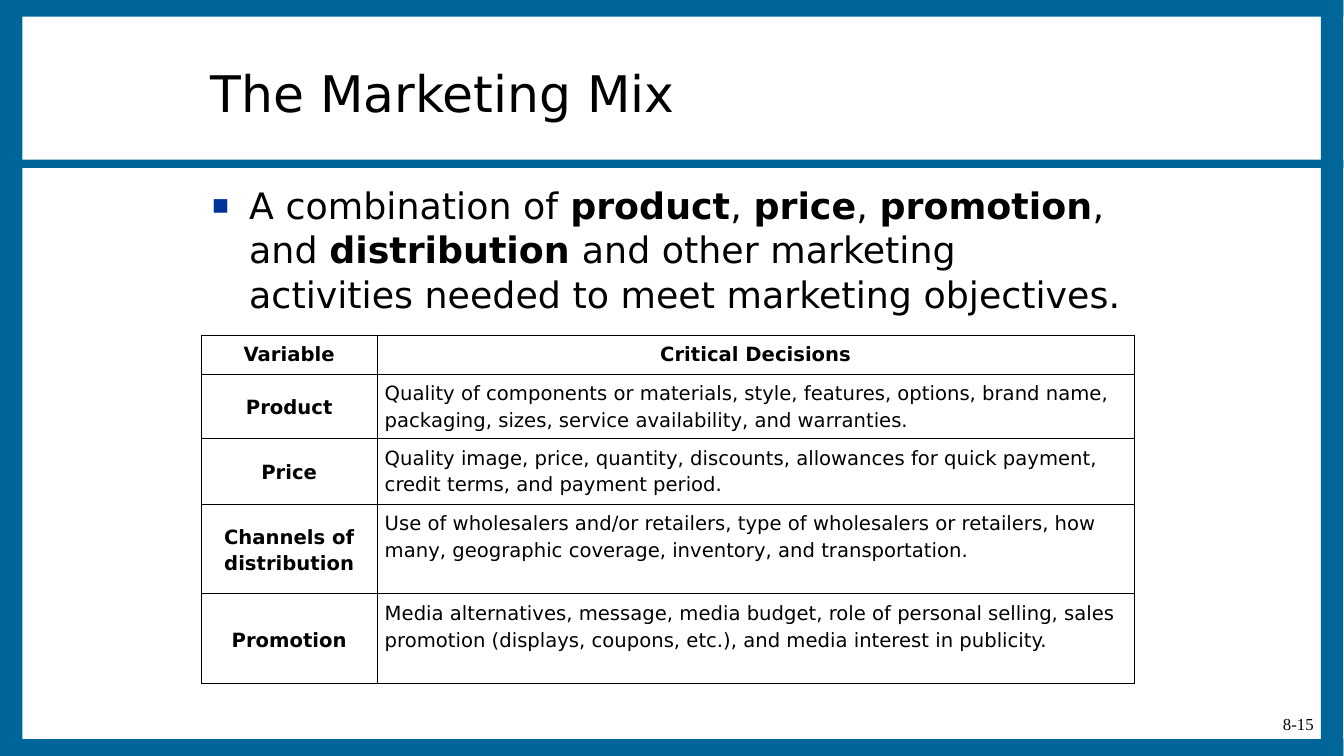
from lxml import etree
from pptx import Presentation
from pptx.dml.color import RGBColor
from pptx.enum.shapes import MSO_SHAPE
from pptx.enum.text import MSO_ANCHOR, MSO_AUTO_SIZE, PP_ALIGN
from pptx.oxml.ns import qn
from pptx.util import Pt

RECTANGLE = MSO_SHAPE.RECTANGLE
TOP, MIDDLE, BOTTOM = MSO_ANCHOR.TOP, MSO_ANCHOR.MIDDLE, MSO_ANCHOR.BOTTOM
LEFT, CENTER, RIGHT = PP_ALIGN.LEFT, PP_ALIGN.CENTER, PP_ALIGN.RIGHT
NO_AUTOFIT = MSO_AUTO_SIZE.NONE

COLORS = {"frame": "006699", "bullet": "003399", "text": "000000"}
SANS, SERIF = "DejaVu Sans", "Times New Roman"
WIDTH, HEIGHT = 960.48, 540
FRAME_BARS = [
    (0, 528, 960, 12),
    (0, 114, 960, 6),
    (0, 0, 960, 12),
    (0, 0, 16, 540),
    (944, 0, 16, 540),
]
DEFINITION = [
    ("A combination of ", False), ("product", True), (", ", False),
    ("price", True), (", ", False), ("promotion", True), (", and ", False),
    ("distribution", True),
    (" and other marketing activities needed to meet marketing objectives.", False),
]
COLUMN_WIDTHS = [125.4, 541.4]
ROW_HEIGHTS = [28, 46, 47, 64, 64]
DECISIONS = [
    ("Variable", "Critical Decisions"),
    ("Product", "Quality of components or materials, style, features, options, "
                "brand name, packaging, sizes, service availability, and warranties."),
    ("Price", "Quality image, price, quantity, discounts, allowances for quick "
              "payment, credit terms, and payment period."),
    ("Channels of distribution", "Use of wholesalers and/or retailers, type of "
                                 "wholesalers or retailers, how many, geographic "
                                 "coverage, inventory, and transportation."),
    ("Promotion", "Media alternatives, message, media budget, role of personal "
                  "selling, sales promotion (displays, coupons, etc.), and media "
                  "interest in publicity."),
]


def apply_format(target, values):
    for name, value in values.items():
        setattr(target, name, value)


def color(name):
    return RGBColor.from_string(COLORS[name])


def place(shape, left, top, width, height):
    apply_format(shape, {"left": Pt(left), "top": Pt(top),
                         "width": Pt(width), "height": Pt(height)})


def format_frame(text_frame, anchor):
    apply_format(text_frame, {
        "word_wrap": True, "auto_size": NO_AUTOFIT, "vertical_anchor": anchor,
        "margin_left": Pt(7.2), "margin_right": Pt(7.2),
        "margin_top": Pt(3.6), "margin_bottom": Pt(3.6)})


def write_runs(paragraph, runs, size, font=SANS, alignment=LEFT, spacing=1.0):
    apply_format(paragraph, {"alignment": alignment, "line_spacing": spacing,
                             "space_before": Pt(0), "space_after": Pt(0)})
    for text, bold in runs:
        run = paragraph.add_run()
        run.text = text
        apply_format(run.font, {"name": font, "size": Pt(size), "bold": bold})
        run.font.color.rgb = color("text")


def add_bar(slide, box):
    bar = slide.shapes.add_shape(RECTANGLE, *map(Pt, box))
    bar.shadow.inherit = False
    bar.fill.solid()
    bar.fill.fore_color.rgb = color("frame")
    bar.line.fill.background()


def add_text(slide, box, anchor, runs, size, **style):
    text_frame = slide.shapes.add_textbox(*map(Pt, box)).text_frame
    format_frame(text_frame, anchor)
    write_runs(text_frame.paragraphs[0], runs, size, **style)
    return text_frame.paragraphs[0]


def add_bullet(paragraph, indent):
    properties = paragraph._p.get_or_add_pPr()
    properties.set("marL", str(Pt(indent)))
    properties.set("indent", str(-Pt(indent)))
    bullet_color = etree.SubElement(properties, qn("a:buClr"))
    etree.SubElement(bullet_color, qn("a:srgbClr"), val=COLORS["bullet"])
    etree.SubElement(properties, qn("a:buSzPct"), val="75000")
    etree.SubElement(properties, qn("a:buFont"), typeface=SANS)
    etree.SubElement(properties, qn("a:buChar"), char="▪")


def add_borders(cell):
    properties = cell._tc.get_or_add_tcPr()
    for index, side in enumerate(("lnL", "lnR", "lnT", "lnB")):
        line = etree.Element(qn(f"a:{side}"), w=str(Pt(0.45)))
        fill = etree.SubElement(line, qn("a:solidFill"))
        etree.SubElement(fill, qn("a:srgbClr"), val=COLORS["text"])
        properties.insert(index, line)


def add_decision_table(slide):
    frame = slide.shapes.add_table(
        len(ROW_HEIGHTS), len(COLUMN_WIDTHS), Pt(144), Pt(239.2),
        Pt(sum(COLUMN_WIDTHS)), Pt(sum(ROW_HEIGHTS)))
    table = frame.table
    apply_format(table, {"first_row": False, "horz_banding": False})
    for column, width in zip(table.columns, COLUMN_WIDTHS):
        column.width = Pt(width)
    for row_index, (row, height) in enumerate(zip(table.rows, ROW_HEIGHTS)):
        row.height = Pt(height)
        for column_index, cell in enumerate(row.cells):
            is_header = row_index == 0
            is_label = column_index == 0
            apply_format(cell, {
                "vertical_anchor": MIDDLE if is_label and not is_header else TOP,
                "margin_left": Pt(5.6), "margin_right": Pt(5.6),
                "margin_top": Pt(3.6), "margin_bottom": Pt(3.6)})
            cell.fill.background()
            add_borders(cell)
            emphasized = is_header or is_label
            write_runs(cell.text_frame.paragraphs[0],
                       [(DECISIONS[row_index][column_index], emphasized)], 14,
                       alignment=CENTER if emphasized else LEFT, spacing=1.15)


def main():
    presentation = Presentation()
    apply_format(presentation, {"slide_width": Pt(WIDTH), "slide_height": Pt(HEIGHT)})
    slide = presentation.slides.add_slide(presentation.slide_layouts[5])
    for box in FRAME_BARS:
        add_bar(slide, box)
    title = slide.shapes.title
    place(title, 143.5, 24, 666, 84)
    format_frame(title.text_frame, MIDDLE)
    write_runs(title.text_frame.paragraphs[0], [("The Marketing Mix", False)], 36)
    definition = add_text(slide, (144, 126, 666, 108), TOP, DEFINITION, 26,
                          spacing=1.03)
    add_bullet(definition, 27)
    add_decision_table(slide)
    add_text(slide, (746, 492, 200, 36), BOTTOM, [("8-15", False)], 12,
             font=SERIF, alignment=RIGHT)
    presentation.save("out.pptx")


if __name__ == "__main__":
    main()
